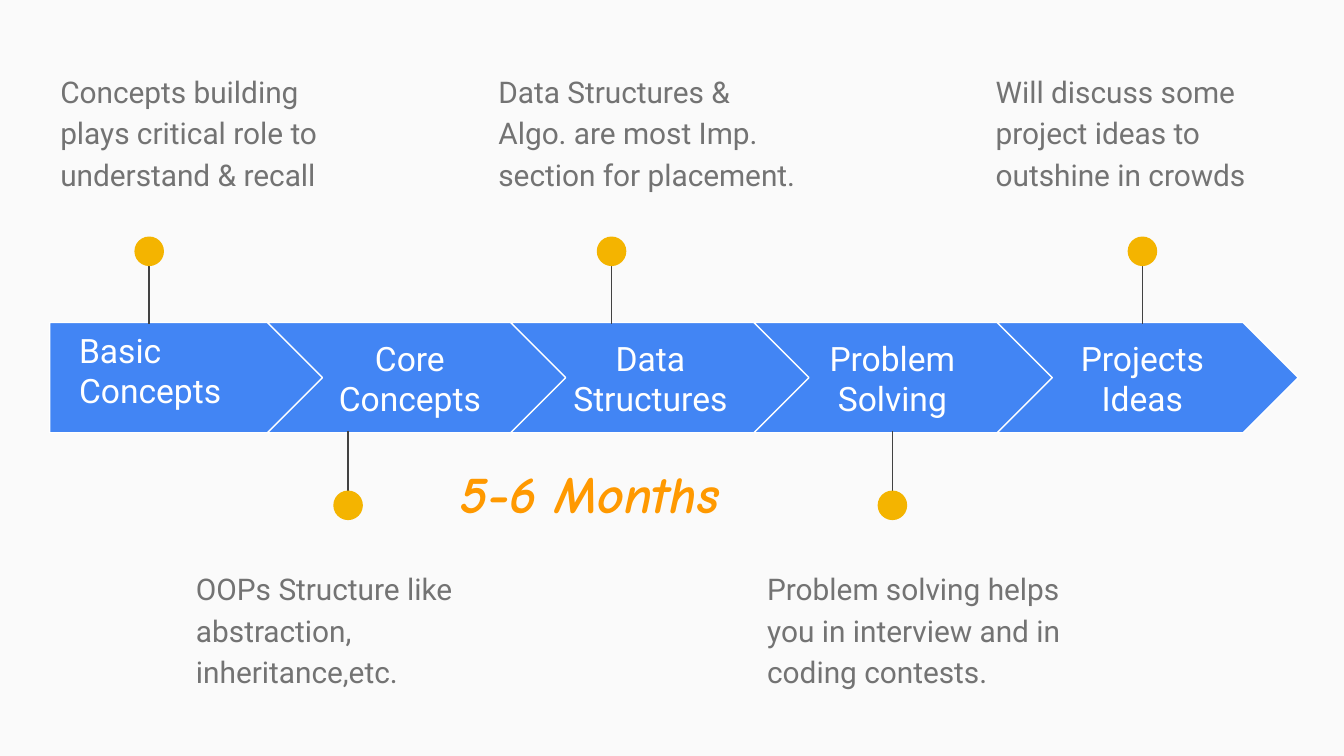
from lxml import etree
from pptx import Presentation
from pptx.dml.color import RGBColor
from pptx.enum.shapes import MSO_CONNECTOR, MSO_SHAPE
from pptx.enum.text import MSO_ANCHOR, PP_ALIGN
from pptx.oxml.ns import qn
from pptx.util import Inches, Pt

HOME_PLATE, CHEVRON, OVAL = MSO_SHAPE.PENTAGON, MSO_SHAPE.CHEVRON, MSO_SHAPE.OVAL
STRAIGHT = MSO_CONNECTOR.STRAIGHT
TOP, MIDDLE = MSO_ANCHOR.TOP, MSO_ANCHOR.MIDDLE
LEFT, CENTER = PP_ALIGN.LEFT, PP_ALIGN.CENTER

COLORS = {
    "background": "FAFAFA", "arrow": "4285F4", "white": "FFFFFF", "stem": "424242",
    "dot": "F4B400", "note": "737373", "duration": "FF9900",
}
STEPS = [
    {"title": "Basic Concepts", "title_box": (0.49, 2.45, 1.8, 0.61), "align": LEFT,
     "note": "Concepts building plays critical role to understand & recall",
     "note_left": 0.35, "pin": 1.11},
    {"title": "Core Concepts", "title_box": (2.33, 2.56, 1.44, 0.51), "align": CENTER,
     "note": "OOPs Structure like abstraction, inheritance,etc.",
     "note_left": 1.36, "pin": 2.59},
    {"title": "Data Structures", "title_box": (4.12, 2.56, 1.44, 0.51), "align": CENTER,
     "note": "Data Structures & Algo. are most Imp. section for placement.",
     "note_left": 3.61, "pin": 4.55},
    {"title": "Problem Solving", "title_box": (5.92, 2.56, 1.44, 0.51), "align": CENTER,
     "note": "Problem solving helps you in interview and in coding contests.",
     "note_left": 5.61, "pin": 6.64},
    {"title": "Projects Ideas", "title_box": (7.78, 2.56, 1.44, 0.51), "align": CENTER,
     "note": "Will discuss some project ideas to outshine in crowds",
     "note_left": 7.31, "pin": 8.5},
]
DURATION = "5-6 Months"

SLIDE_WIDTH = Inches(10)
SLIDE_HEIGHT = SLIDE_WIDTH * 9 // 16
ARROW_TOP, ARROW_HEIGHT = 2.4, 0.82
FIRST_ARROW = (0.37, 2.05)
CHEVRON_LEFT, CHEVRON_WIDTH, CHEVRON_STEP = 1.99, 2.24, 1.81
DOT_SIZE = 0.22
NOTE_SIZE = (2.45, 0.99)
ABOVE = {"note_top": 0.41, "dot_top": 1.76, "stem": (1.8, 2.41)}
BELOW = {"note_top": 4.11, "dot_top": 3.65, "stem": (3.82, 3.21)}


def color(name):
    return RGBColor.from_string(COLORS[name])


def add_text(slide, text, box, size, color_name, font="Roboto", align=LEFT,
             anchor=TOP, emphasis=False, line_spacing=None, space_after=0):
    shape = slide.shapes.add_textbox(*map(Inches, box))
    frame = shape.text_frame
    frame.word_wrap = True
    frame.vertical_anchor = anchor
    frame.margin_left = frame.margin_right = Inches(0.1)
    frame.margin_top = frame.margin_bottom = Inches(0.1)
    paragraph = frame.paragraphs[0]
    paragraph.alignment = align
    paragraph.line_spacing = line_spacing
    paragraph.space_after = Pt(space_after)
    run = paragraph.add_run()
    run.text = text
    run.font.name = font
    run.font.size = Pt(size)
    run.font.bold = run.font.italic = emphasis
    run.font.color.rgb = color(color_name)


def add_filled(slide, kind, box, fill, line=None):
    shape = slide.shapes.add_shape(kind, *map(Inches, box))
    shape.shadow.inherit = False
    shape.fill.solid()
    shape.fill.fore_color.rgb = color(fill)
    if line:
        shape.line.color.rgb = color(line)
        shape.line.width = Pt(0.75)
    else:
        shape.line.fill.background()


def add_pin(slide, center, side):
    start, end = side["stem"]
    stem = slide.shapes.add_connector(
        STRAIGHT, Inches(center), Inches(start), Inches(center), Inches(end))
    stem.line.color.rgb = color("stem")
    stem.line.width = Pt(0.75)
    etree.SubElement(stem._element.spPr, qn("a:effectLst"))
    dot_box = (center - DOT_SIZE / 2, side["dot_top"], DOT_SIZE, DOT_SIZE)
    add_filled(slide, OVAL, dot_box, "dot")


def add_step(slide, index, step):
    if index == 0:
        kind, (left, width) = HOME_PLATE, FIRST_ARROW
    else:
        kind, width = CHEVRON, CHEVRON_WIDTH
        left = CHEVRON_LEFT + (index - 1) * CHEVRON_STEP
    side = BELOW if index % 2 else ABOVE
    add_filled(slide, kind, (left, ARROW_TOP, width, ARROW_HEIGHT), "arrow", "white")
    add_text(slide, step["title"], step["title_box"], 18, "white",
             align=step["align"], anchor=MIDDLE)
    add_pin(slide, step["pin"], side)
    add_text(slide, step["note"], (step["note_left"], side["note_top"], *NOTE_SIZE),
             16, "note", line_spacing=1.15, space_after=16)


def main():
    presentation = Presentation()
    presentation.slide_width = SLIDE_WIDTH
    presentation.slide_height = SLIDE_HEIGHT
    slide = presentation.slides.add_slide(presentation.slide_layouts[6])
    slide.background.fill.solid()
    slide.background.fill.fore_color.rgb = color("background")
    for index, step in enumerate(STEPS):
        add_step(slide, index, step)
    add_text(slide, DURATION, (3.32, 3.33, 2.6, 0.67), 28, "duration",
             font="Comic Neue", emphasis=True)
    presentation.save("out.pptx")


if __name__ == "__main__":
    main()
